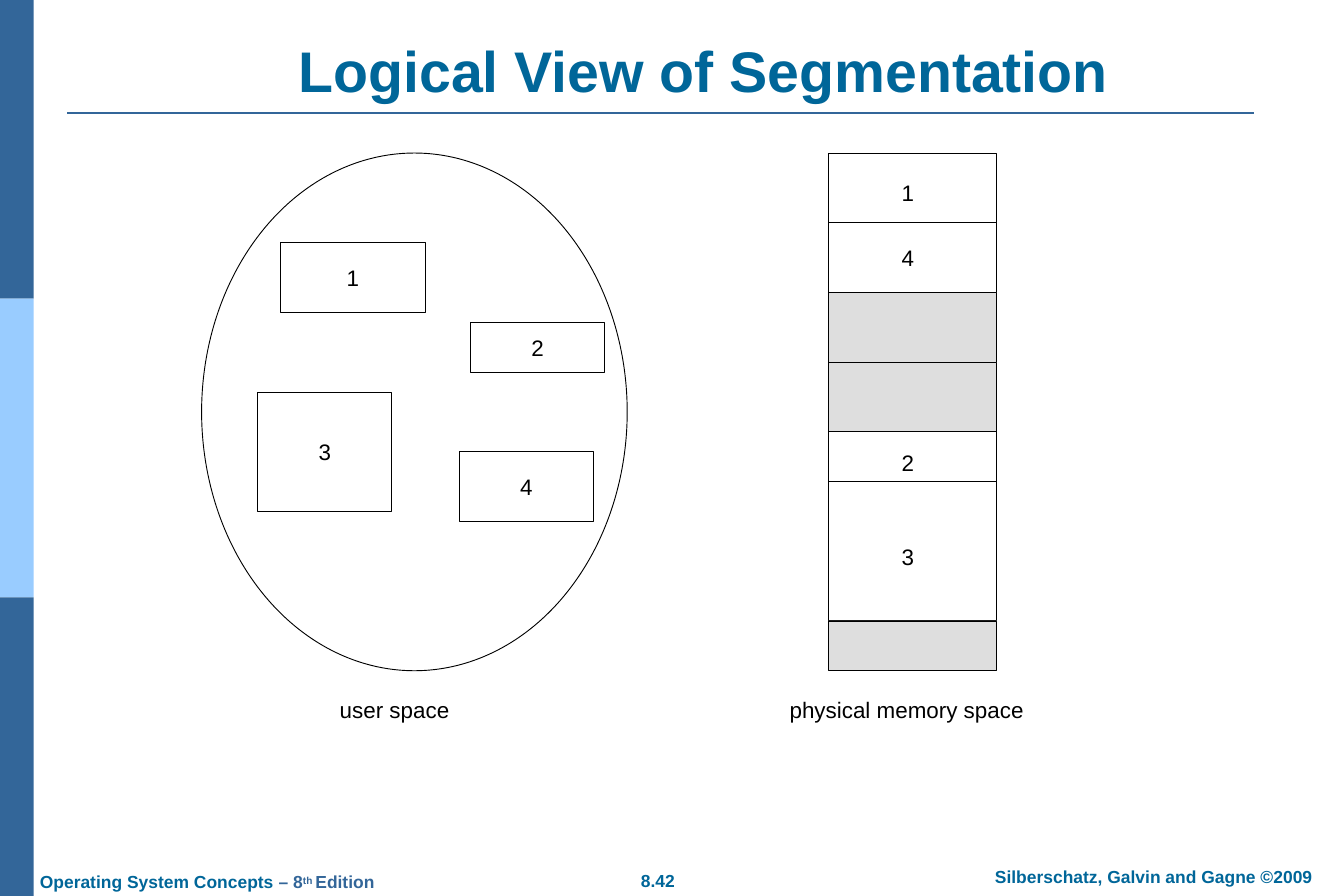
"""Builds the slide on the logical view of segmentation."""
from dataclasses import dataclass

from lxml import etree
from pptx import Presentation
from pptx.dml.color import RGBColor
from pptx.enum.shapes import MSO_CONNECTOR, MSO_SHAPE
from pptx.enum.text import MSO_ANCHOR, MSO_AUTO_SIZE, PP_ALIGN
from pptx.oxml.ns import qn
from pptx.util import Pt

RECT, OVAL = MSO_SHAPE.RECTANGLE, MSO_SHAPE.OVAL
LINE = MSO_CONNECTOR.STRAIGHT
TOP, MIDDLE = MSO_ANCHOR.TOP, MSO_ANCHOR.MIDDLE
LEFT, CENTER = PP_ALIGN.LEFT, PP_ALIGN.CENTER
FIXED = MSO_AUTO_SIZE.NONE


@dataclass(frozen=True)
class Theme:
    font: str = "Arial"
    ink: str = "000000"
    teal: str = "006699"
    navy: str = "336699"
    sky: str = "99CCFF"
    gray: str = "DEDEDE"
    head: float = 46
    body: float = 18
    foot: float = 14


class Deck:
    def __init__(self, theme, width, height):
        self.theme = theme
        self.prs = Presentation()
        self.prs.slide_width, self.prs.slide_height = Pt(width), Pt(height)
        self.slide = self.prs.slides.add_slide(self.prs.slide_layouts[5])

    def style(self, run, size, color, bold=False):
        font = run.font
        font.name, font.size, font.bold = self.theme.font, Pt(size), bold
        font.color.rgb = RGBColor.from_string(color)

    def frame(self, shape, anchor=TOP):
        frame = shape.text_frame
        frame.margin_left = frame.margin_right = 0
        frame.margin_top = frame.margin_bottom = 0
        frame.word_wrap, frame.auto_size = True, FIXED
        frame.vertical_anchor = anchor
        return frame

    def title(self, text, x, y, w, h):
        shape = self.slide.shapes.title
        shape.left, shape.top, shape.width, shape.height = map(Pt, (x, y, w, h))
        frame = self.frame(shape)
        frame.text = text
        para = frame.paragraphs[0]
        para.alignment = LEFT
        self.style(para.runs[0], self.theme.head, self.theme.teal, True)

    def shape(self, kind, x, y, w, h, fill=None, line=True):
        shape = self.slide.shapes.add_shape(kind, *map(Pt, (x, y, w, h)))
        shape.shadow.inherit = False
        if fill:
            shape.fill.solid()
            shape.fill.fore_color.rgb = RGBColor.from_string(fill)
        else:
            shape.fill.background()
        if line:
            shape.line.width = Pt(0.75)
            shape.line.color.rgb = RGBColor.from_string(self.theme.ink)
        else:
            shape.line.fill.background()
        return shape

    def box(self, text, x, y, w, h, fill=None, right=0, top=0):
        shape = self.shape(RECT, x, y, w, h, fill)
        if text:
            frame = self.frame(shape, MIDDLE)
            frame.margin_right, frame.margin_top = Pt(right), Pt(top)
            frame.text = text
            para = frame.paragraphs[0]
            para.alignment = CENTER
            self.style(para.runs[0], self.theme.body, self.theme.ink)

    def label(self, text, x, y, w):
        shape = self.slide.shapes.add_textbox(*map(Pt, (x, y, w, 22)))
        frame = self.frame(shape)
        frame.text = text
        self.style(frame.paragraphs[0].runs[0], self.theme.body, self.theme.ink)

    def footer(self, parts, x, y, w):
        shape = self.slide.shapes.add_textbox(*map(Pt, (x, y, w, 16)))
        para = self.frame(shape).paragraphs[0]
        para.line_spacing = Pt(15.2)
        for text, color, lift in parts:
            run = para.add_run()
            run.text = text
            self.style(run, self.theme.foot, color, True)
            if lift:
                run._r.get_or_add_rPr().set("baseline", str(lift * 1000))

    def rule(self, x, y, end):
        line = self.slide.shapes.add_connector(LINE, *map(Pt, (x, y, end, y)))
        line.line.width = Pt(1.5)
        line.line.color.rgb = RGBColor.from_string(self.theme.navy)
        etree.SubElement(line._element.spPr, qn("a:effectLst"))


def main():
    theme = Theme()
    deck = Deck(theme, 1080, 720)

    for row, color in enumerate((theme.navy, theme.sky, theme.navy)):
        deck.shape(RECT, 0, row * 240, 27, 240, color, line=False)
    deck.rule(54, 90.5, 1008)
    deck.title("Logical View of Segmentation", 240, 28, 740, 55)

    deck.shape(OVAL, 162, 123, 342, 416)
    for text, *place in (
        ("1", 225, 195, 117, 56),
        ("3", 207, 315, 108, 96),
        ("2", 378, 259, 108, 40),
        ("4", 369, 363, 108, 56),
    ):
        deck.box(text, *place)

    y = 123
    for text, high, drop in (
        ("1", 56, 8),
        ("4", 56, 0),
        ("", 56, 0),
        ("", 56, 0),
        ("2", 40, 9),
        ("3", 112, 9),
        ("", 40, 0),
    ):
        fill = None if text else theme.gray
        deck.box(text, 666, y, 135, high, fill, right=8, top=drop)
        y += high

    deck.label("user space", 273, 559.5, 110)
    deck.label("physical memory space", 634.5, 559.5, 210)

    book = (
        ("Operating System Concepts ", theme.teal, 0),
        ("– 8", theme.navy, 0),
        ("th ", theme.navy, 25),
        ("Edition", theme.navy, 0),
    )
    deck.footer(book, 32, 701.5, 300)
    deck.footer([("8.42", theme.teal, 0)], 515, 700.5, 40)
    credit = "Silberschatz, Galvin and Gagne ©2009"
    deck.footer([(credit, theme.teal, 0)], 799.5, 697.5, 275)
    deck.prs.save("out.pptx")


if __name__ == "__main__":
    main()
